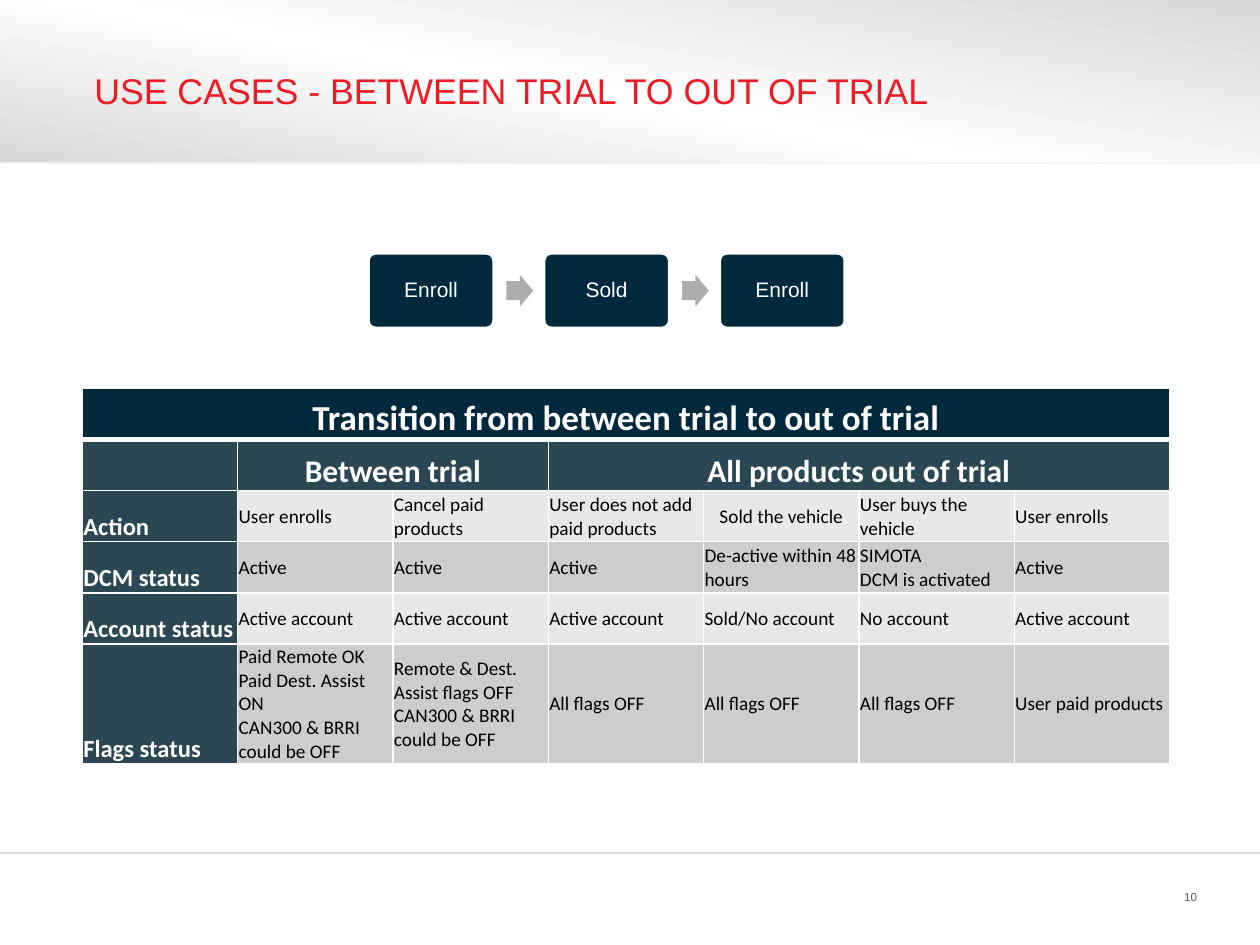
from lxml import etree
from pptx import Presentation
from pptx.dml.color import RGBColor
from pptx.enum import shapes, text
from pptx.oxml.ns import qn
from pptx.util import Cm, Pt

TITLE = "USE CASES - BETWEEN TRIAL TO OUT OF TRIAL"
PAGE = "10"
STEPS = ["Enroll", "Sold", "Enroll"]
TABLE_TITLE = "Transition from between trial to out of trial"
GROUPS = [("", 0, 0), ("Between trial", 1, 2), ("All products out of trial", 3, 6)]
ROWS = [
    ("Action", "User enrolls", "Cancel paid products", "User does not add paid products",
     "Sold the vehicle", "User buys the vehicle", "User enrolls"),
    ("DCM status", "Active", "Active", "Active", "De-active within 48 hours",
     "SIMOTA\nDCM is activated", "Active"),
    ("Account status", "Active account", "Active account", "Active account",
     "Sold/No account", "No account", "Active account"),
    ("Flags status", "Paid Remote OK\nPaid Dest. Assist ON\nCAN300 & BRRI could be OFF",
     "Remote & Dest. Assist flags OFF\nCAN300 & BRRI could be OFF",
     "All flags OFF", "All flags OFF", "All flags OFF", "User paid products"),
]
CENTERED = {"Sold the vehicle"}


class Theme:
    head, body = "Arial", "Calibri"
    red, navy, slate = "ED1C24", "00293E", "2B4754"
    bands = "E7E8E8", "CCCDCE"
    arrow, rule, pale = "ABADAF", "D9D9D9", "F2F2F2"
    white, black, grey = "FFFFFF", "000000", "58595B"
    title, page, step = 20.4, 6.6, 12
    table, group, label, cell = 20, 18, 14, 11


def rgb(value):
    return RGBColor.from_string(value)


def write(p, value, font, size, color, align=text.PP_ALIGN.LEFT, bold=False):
    p.text = value
    p.alignment = align
    p.font.name, p.font.size, p.font.bold = font, Pt(size), bold
    p.font.color.rgb = rgb(color)


def set_margins(box, left, top, right, bottom):
    box.margin_left, box.margin_top = Cm(left), Cm(top)
    box.margin_right, box.margin_bottom = Cm(right), Cm(bottom)


def add_shape(s, kind, x, y, w, h, color):
    sp = s.shapes.add_shape(kind, Cm(x), Cm(y), Cm(w), Cm(h))
    sp.shadow.inherit = False
    sp.fill.solid()
    sp.fill.fore_color.rgb = rgb(color)
    sp.line.fill.background()
    return sp


def add_rule(s, y, color):
    line = s.shapes.add_connector(shapes.MSO_CONNECTOR.STRAIGHT, 0, Cm(y), Cm(25.4), Cm(y))
    line.line.color.rgb = rgb(color)
    line.line.width = Pt(1)
    etree.SubElement(line.element.spPr, qn("a:effectLst"))


def add_banner(s):
    sp = add_shape(s, shapes.MSO_SHAPE.RECTANGLE, 0, 0, 25.4, 3.25, Theme.white)
    solid = sp.element.spPr.find(qn("a:solidFill"))
    grad = etree.Element(qn("a:gradFill"), rotWithShape="1")
    stops = etree.SubElement(grad, qn("a:gsLst"))
    for pos, color in [(0, Theme.rule), (55, Theme.white), (100, Theme.rule)]:
        stop = etree.SubElement(stops, qn("a:gs"), pos=str(pos * 1000))
        etree.SubElement(stop, qn("a:srgbClr"), val=color)
    etree.SubElement(grad, qn("a:lin"), ang=str(100 * 60000), scaled="0")
    solid.getparent().replace(solid, grad)


def add_title(s):
    sp = s.shapes.title
    sp.left, sp.top, sp.width, sp.height = Cm(1.52), Cm(0.38), Cm(22.35), Cm(2.87)
    tf = sp.text_frame
    tf.vertical_anchor = text.MSO_ANCHOR.MIDDLE
    set_margins(tf, 0.38, 0, 0.38, 0)
    write(tf.paragraphs[0], TITLE, Theme.head, Theme.title, Theme.red)
    sp.element.getparent().append(sp.element)


def add_page_number(s):
    tf = s.shapes.add_textbox(Cm(22.66), Cm(17.81), Cm(1.47), Cm(0.56)).text_frame
    tf.word_wrap = True
    tf.vertical_anchor = text.MSO_ANCHOR.MIDDLE
    set_margins(tf, 0, 0, 0, 0)
    write(tf.paragraphs[0], PAGE, Theme.head, Theme.page, Theme.grey, text.PP_ALIGN.RIGHT)


def add_steps(s):
    left, top, width, height, pitch = 7.42, 5.1, 2.54, 1.52, 3.54
    for i, step in enumerate(STEPS):
        x = left + i * pitch
        box = add_shape(s, shapes.MSO_SHAPE.ROUNDED_RECTANGLE, x, top, width, height, Theme.navy)
        box.adjustments[0] = 0.1
        box.line.color.rgb = rgb(Theme.white)
        box.line.width = Pt(2)
        tf = box.text_frame
        tf.vertical_anchor = text.MSO_ANCHOR.MIDDLE
        set_margins(tf, 0.13, 0.13, 0.13, 0.13)
        p = tf.paragraphs[0]
        write(p, step, Theme.head, Theme.step, Theme.white, text.PP_ALIGN.CENTER)
        p.line_spacing = 0.9
        if i < len(STEPS) - 1:
            arrow = add_shape(s, shapes.MSO_SHAPE.RIGHT_ARROW, x + 2.79,
                              top + (height - 0.64) / 2, 0.54, 0.64, Theme.arrow)
            arrow.adjustments[0], arrow.adjustments[1] = 0.6, 0.5


def style_cell(cell, fill, anchor, bottom=1):
    tc_pr = cell._tc.get_or_add_tcPr()
    for side, width in [("L", 1), ("R", 1), ("T", 1), ("B", bottom)]:
        ln = etree.SubElement(tc_pr, qn(f"a:ln{side}"), w=str(Pt(width)))
        etree.SubElement(etree.SubElement(ln, qn("a:solidFill")), qn("a:srgbClr"), val=Theme.white)
    cell.fill.solid()
    cell.fill.fore_color.rgb = rgb(fill)
    cell.vertical_anchor = anchor
    set_margins(cell, 0.02, 0.02, 0.02, 0)


def add_status_table(s):
    heights = [1.03] * 5 + [2.41]
    cols = len(ROWS[0])
    table = s.shapes.add_table(len(heights), cols, Cm(1.66), Cm(7.83),
                               Cm(21.92), Cm(sum(heights))).table
    for row, height in zip(table.rows, heights):
        row.height = Cm(height)
    bottom, middle = text.MSO_ANCHOR.BOTTOM, text.MSO_ANCHOR.MIDDLE
    center, left = text.PP_ALIGN.CENTER, text.PP_ALIGN.LEFT

    for c in range(cols):
        style_cell(table.cell(0, c), Theme.navy, bottom, 3)
        style_cell(table.cell(1, c), Theme.slate, bottom)
    headings = [(0, TABLE_TITLE, 0, cols - 1, Theme.table)]
    headings += [(1, *group, Theme.group) for group in GROUPS]
    for r, value, first, last, size in headings:
        cell = table.cell(r, first)
        if last > first:
            cell.merge(table.cell(r, last))
        write(cell.text_frame.paragraphs[0], value, Theme.body, size, Theme.white, center, True)

    for r, row in enumerate(ROWS):
        for c, value in enumerate(row):
            cell = table.cell(r + 2, c)
            p = cell.text_frame.paragraphs[0]
            if c == 0:
                style_cell(cell, Theme.slate, bottom)
                write(p, value, Theme.body, Theme.label, Theme.white, bold=True)
            else:
                style_cell(cell, Theme.bands[r % 2], middle)
                write(p, value, Theme.body, Theme.cell, Theme.black,
                      center if value in CENTERED else left)


def main():
    prs = Presentation()
    prs.slide_width, prs.slide_height = Cm(25.4), Cm(19.05)
    s = prs.slides.add_slide(prs.slide_layouts[5])
    add_banner(s)
    add_rule(s, 3.28, Theme.pale)
    add_rule(s, 17.2, Theme.rule)
    add_page_number(s)
    add_title(s)
    add_status_table(s)
    add_steps(s)
    prs.save("out.pptx")


if __name__ == "__main__":
    main()
